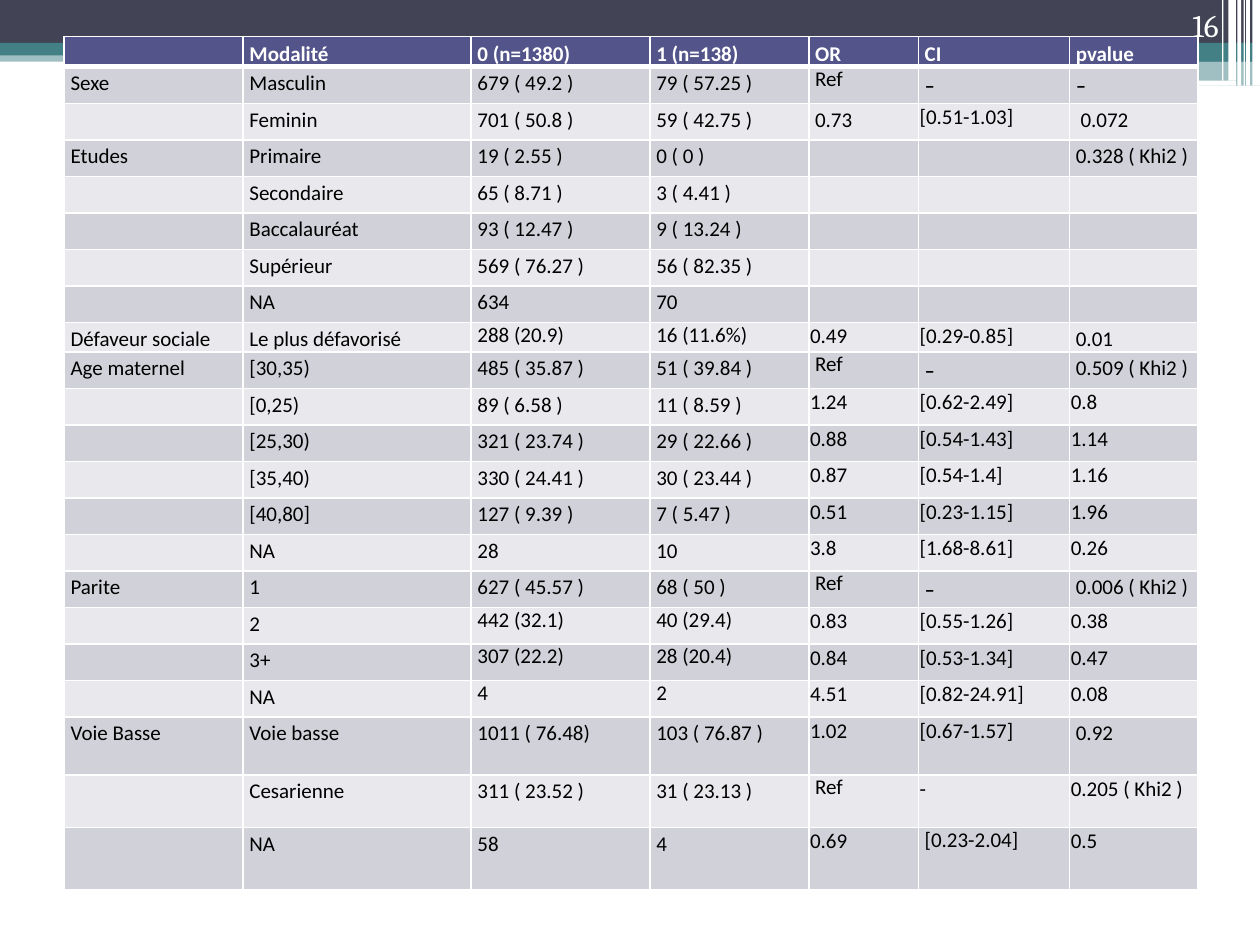
from lxml import etree
from pptx import Presentation
from pptx.dml.color import RGBColor
from pptx.enum.shapes import MSO_SHAPE
from pptx.enum.text import MSO_ANCHOR, PP_ALIGN
from pptx.oxml.ns import qn
from pptx.util import Inches, Pt

RECT, ROUND = MSO_SHAPE.RECTANGLE, MSO_SHAPE.ROUNDED_RECTANGLE
TOP, BOTTOM = MSO_ANCHOR.TOP, MSO_ANCHOR.BOTTOM
LEFT, RIGHT = PP_ALIGN.LEFT, PP_ALIGN.RIGHT

WHITE = RGBColor(0xFF, 0xFF, 0xFF)
BLACK = RGBColor(0, 0, 0)
SLATE = RGBColor(0x42, 0x44, 0x56)
TEAL = RGBColor(0x43, 0x80, 0x86)
INDIGO = RGBColor(0x53, 0x54, 0x8A)
BANDS = (RGBColor(0xE9, 0xE9, 0xED), RGBColor(0xD1, 0xD1, 0xDA))

WIDE, HIGH = 10, 7.5
COLS = (1.42, 1.81, 1.42, 1.26, 0.87, 1.2, 1.02)
ROW = 0.29
ODD_ROWS = {0: 0.24, 8: 0.23, 19: 0.46, 20: 0.42, 21: 0.49}

# A leading ~ marks a single-spaced cell, and = one that has thin margins too.
ROWS = (
    ("", "Modalité", "0 (n=1380)", "1 (n=138)", "OR", "CI", "pvalue"),
    ("Sexe", "Masculin", "679 ( 49.2 )", "79 ( 57.25 )", "~Ref", "~-", "~-"),
    ("", "Feminin", "701 ( 50.8 )", "59 ( 42.75 )", "0.73", "=[0.51-1.03]",
     " 0.072"),
    ("Etudes", "Primaire", "19 ( 2.55 )", "0 ( 0 )", "", "",
     "0.328 ( Khi2 )"),
    ("", "Secondaire", "65 ( 8.71 )", "3 ( 4.41 )", "", "", ""),
    ("", "Baccalauréat", "93 ( 12.47 )", "9 ( 13.24 )", "", "", ""),
    ("", "Supérieur", "569 ( 76.27 )", "56 ( 82.35 )", "", "", ""),
    ("", "NA", "634", "70", "", "", ""),
    ("Défaveur sociale", "Le plus défavorisé", "~288 (20.9)", "~16 (11.6%)",
     "=0.49", "=[0.29-0.85]", "0.01"),
    ("Age maternel", "[30,35)", "485 ( 35.87 )", "51 ( 39.84 )", "~Ref", "~-",
     "0.509 ( Khi2 )"),
    ("", "[0,25)", "89 ( 6.58 )", "11 ( 8.59 )", "=1.24", "=[0.62-2.49]",
     "=0.8"),
    ("", "[25,30)", "321 ( 23.74 )", "29 ( 22.66 )", "=0.88", "=[0.54-1.43]",
     "=1.14"),
    ("", "[35,40)", "330 ( 24.41 )", "30 ( 23.44 )", "=0.87", "=[0.54-1.4]",
     "=1.16"),
    ("", "[40,80]", "127 ( 9.39 )", "7 ( 5.47 )", "=0.51", "=[0.23-1.15]",
     "=1.96"),
    ("", "NA", "28", "10", "=3.8", "=[1.68-8.61]", "=0.26"),
    ("Parite", "1", "627 ( 45.57 )", "68 ( 50 )", "~Ref", "~-",
     "0.006 ( Khi2 )"),
    ("", "2", "~442 (32.1)", "~40 (29.4)", "=0.83", "=[0.55-1.26]", "=0.38"),
    ("", "3+", "~307 (22.2)", "~28 (20.4)", "=0.84", "=[0.53-1.34]", "=0.47"),
    ("", "NA", "~4", "~2", "=4.51", "=[0.82-24.91]", "=0.08"),
    ("Voie Basse", "Voie basse", "1011 ( 76.48)", "103 ( 76.87 )", "=1.02",
     "=[0.67-1.57]", "0.92"),
    ("", "Cesarienne", "311 ( 23.52 )", "31 ( 23.13 )", "~Ref", "=-",
     "=0.205 ( Khi2 )"),
    ("", "NA", "58", "4", "=0.69", "~[0.23-2.04]", "=0.5"),
)


def write(frame, text, size=12, font="Calibri", color=BLACK, bold=False,
          space=1.0, align=LEFT):
    para = frame.paragraphs[0]
    para.alignment = align
    para.line_spacing = space
    if not text:
        # An empty cell still takes its line height from the end mark.
        etree.SubElement(para._p, qn("a:endParaRPr"), sz=str(size * 100))
        return
    run = para.add_run()
    run.text = text
    run.font.size, run.font.name = Pt(size), font
    run.font.bold = bold
    run.font.color.rgb = color


def add_bar(slide, x, y, w, h, color=WHITE, alpha=None, kind=RECT):
    bar = slide.shapes.add_shape(kind, *map(Inches, (x, y, w, h)))
    bar.shadow.inherit = False
    bar.fill.solid()
    bar.fill.fore_color.rgb = color
    bar.line.fill.background()
    if alpha:
        tint = bar._element.spPr.find(".//" + qn("a:srgbClr"))
        etree.SubElement(tint, qn("a:alpha"), val=str(alpha * 1000))


def add_banner(slide):
    add_bar(slide, 0, 0.4, WIDE, 0.09, TEAL, 50)
    add_bar(slide, 0, 0, WIDE, 0.34, SLATE)
    add_bar(slide, 0, 0.34, WIDE, 0.1, TEAL)
    half = 5.92
    add_bar(slide, half, 0.39, WIDE - half, 0.1, TEAL)
    add_bar(slide, half, 0.48, WIDE - half, 0.2, TEAL, 50)
    add_bar(slide, 5.91, 0.54, 3.35, 0.03, kind=ROUND)
    add_bar(slide, 8.06, 0.64, 1.75, 0.04, kind=ROUND)
    for x, w, h in ((9.94, 0.06, 0.68), (9.89, 0.03, 0.68),
                    (9.87, 0.01, 0.68), (9.82, 0.03, 0.68),
                    (9.75, 0.06, 0.64), (9.7, 0.01, 0.64)):
        add_bar(slide, x, 0, w, h)


def set_edges(cell, top, bottom):
    """Draw white cell borders; top and bottom are widths in points."""
    props = cell._tc.get_or_add_tcPr()
    edges = (("L", 1), ("R", 1), ("T", top), ("B", bottom))
    for spot, (side, width) in enumerate(edges):
        line = etree.Element(qn("a:ln" + side), w=str(int(Pt(width))))
        fill = etree.SubElement(line, qn("a:solidFill"))
        etree.SubElement(fill, qn("a:srgbClr"), val=str(WHITE))
        props.insert(spot, line)


def fill_cell(cell, text, row):
    mark = text[:1] if text[:1] in ("~", "=") else ""
    text = text[len(mark):]
    head, thin = row == 0, mark == "="
    cell.margin_left = cell.margin_right = Inches(0.01 if thin else 0.05)
    cell.margin_top = Inches(0.01 if thin else 0)
    cell.margin_bottom = 0
    cell.vertical_anchor = BOTTOM if head else TOP
    cell.fill.solid()
    cell.fill.fore_color.rgb = INDIGO if head else BANDS[row % 2]
    set_edges(cell, 3 if row == 1 else 1, 3 if head else 1)
    dash = mark == "~" and text == "-"
    write(cell.text_frame, text, size=18 if dash else 12,
          font="Cambria" if dash else "Calibri",
          color=WHITE if head else BLACK, bold=head,
          space=1.0 if mark else 1.15)


def add_grid(slide):
    highs = [ODD_ROWS.get(i, ROW) for i in range(len(ROWS))]
    box = map(Inches, (0.51, 0.29, sum(COLS), sum(highs)))
    table = slide.shapes.add_table(len(ROWS), len(COLS), *box).table
    for col, width in zip(table.columns, COLS):
        col.width = Inches(width)
    for i, texts in enumerate(ROWS):
        table.rows[i].height = Inches(highs[i])
        for j, text in enumerate(texts):
            fill_cell(table.cell(i, j), text, i)


def add_number(slide, text):
    box = slide.shapes.add_textbox(*map(Inches, (8.94, 0, 0.83, 0.4)))
    frame = box.text_frame
    frame.word_wrap = True
    frame.vertical_anchor = BOTTOM
    write(frame, text, size=18, font="Cambria", color=WHITE, align=RIGHT)


def main():
    deck = Presentation()
    deck.slide_width, deck.slide_height = Inches(WIDE), Inches(HIGH)
    slide = deck.slides.add_slide(deck.slide_layouts[6])
    add_banner(slide)
    add_grid(slide)
    add_number(slide, "16")
    deck.save("out.pptx")


if __name__ == "__main__":
    main()
